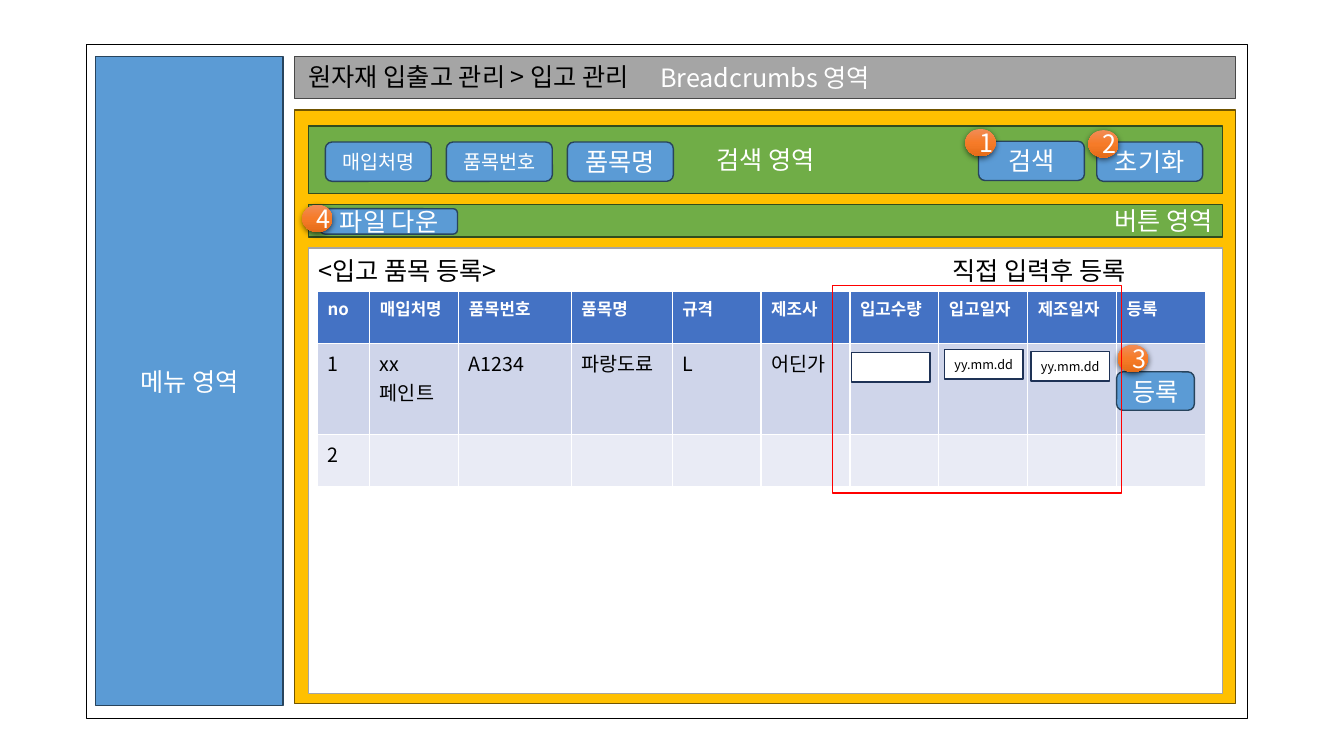
from lxml.etree import SubElement
from pptx import Presentation
from pptx.dml.color import RGBColor
from pptx.enum.shapes import MSO_SHAPE as SHAPE
from pptx.enum.text import MSO_ANCHOR as ANCHOR, MSO_AUTO_SIZE as AUTO_SIZE, PP_ALIGN as ALIGN
from pptx.oxml.ns import qn
from pptx.util import Cm, Pt

FONT = "Noto Sans CJK KR"
WHITE, BLACK = "FFFFFF", "000000"
BLUE, BLUE_EDGE = "5B9BD5", "28445D"
GREEN, GREEN_EDGE = "70AD47", "314C1F"
GREY, INPUT_EDGE = "A5A5A5", "1E3256"

# (left, top, width, height) in cm, fill, line, text, alignment
AREAS = [
    ((2.18, 1.12, 29.26, 16.99), WHITE, BLACK, "", ALIGN.CENTER),
    ((2.41, 1.42, 4.72, 16.36), BLUE, BLUE_EDGE, "메뉴 영역", ALIGN.CENTER),
    ((7.42, 1.42, 23.72, 1.07), GREY, "484848", "Breadcrumbs 영역", ALIGN.CENTER),
    ((7.42, 2.77, 23.72, 14.96), "FFC000", "705400", "", ALIGN.CENTER),
    ((7.77, 3.18, 23.04, 1.7), GREEN, GREEN_EDGE, "검색 영역", ALIGN.CENTER),
    ((7.77, 6.25, 23.04, 11.23), WHITE, GREY, "", ALIGN.CENTER),
    ((7.77, 5.16, 23.04, 0.81), GREEN, GREEN_EDGE, "버튼 영역", ALIGN.RIGHT),
]
BREADCRUMB = ((7.52, 1.42, 10.67, 1.07), "원자재 입출고 관리 > 입고 관리")
SEARCH_FIELDS = [("매입처명", 14), ("품목번호", 14), ("품목명", 18)]
FIELD_LEFT, FIELD_STEP, FIELD_TOP = 8.2, 3.05, 3.58
FIELD_SIZE = (2.67, 0.99)
BUTTONS = [
    ((27.64, 3.58, *FIELD_SIZE), "초기화"),
    ((24.66, 3.56, *FIELD_SIZE), "검색"),
    ((28.14, 9.37, 1.96, 0.97), "등록"),
    ((8.08, 5.26, 3.45, 0.64), "파일 다운"),
]
BADGES = [("1", 24.33, 3.25), ("2", 27.43, 3.28), ("3", 28.17, 8.69), ("4", 7.62, 5.16)]
BADGE_SIZE = (0.76, 0.69)
BADGE_STOPS = [(0, "F18C57"), (50, "F67B28"), (100, "E56C19")]
CAPTIONS = [
    ((7.77, 6.3, 6.32, 1.02), "<입고 품목 등록>"),
    ((23.75, 6.3, 5.59, 1.02), "직접 입력후 등록"),
]
INPUTS = [("", 21.46, 8.89), ("yy.mm.dd", 23.8, 8.81), ("yy.mm.dd", 25.98, 8.86)]
INPUT_SIZE = (1.98, 0.74)
HIGHLIGHT = (20.98, 7.19, 7.29, 5.23)

TABLE_LEFT, TABLE_TOP = 8, 7.34
COLUMN_WIDTHS = [1.32, 2.24, 2.84, 2.54] + [2.24] * 6
ROW_HEIGHTS = [1.32, 2.29, 1.32]
ROWS = [
    ["no", "매입처명", "품목번호", "품목명", "규격", "제조사",
     "입고수량", "입고일자", "제조일자", "등록"],
    ["1", "xx페인트", "A1234", "파랑도료", "L", "어딘가", "", "", "", ""],
    ["2"] + [""] * 9,
]
# fill, text colour, size, bold
ROW_STYLES = [("4472C4", WHITE, 12, True), ("CFD5EA", BLACK, 14, False),
              ("E9EBF5", BLACK, 14, False)]


def rgb(value):
    return RGBColor.from_string(value)


def write(frame, text, color=WHITE, size=18, align=ALIGN.CENTER, bold=False):
    para = frame.paragraphs[0]
    para.alignment = align
    if not text:
        para.font.size = Pt(size)
        return
    span = para.add_run()
    span.text = text
    for name, value in {"name": FONT, "size": Pt(size), "bold": bold}.items():
        setattr(span.font, name, value)
    span.font.color.rgb = rgb(color)
    SubElement(span.font._element, qn("a:ea"), typeface=FONT)


def add_box(page, place, fill, line, text="", kind=SHAPE.RECTANGLE, **style):
    box = page.shapes.add_shape(kind, *map(Cm, place))
    box.shadow.inherit = False
    if fill:
        box.fill.solid()
        box.fill.fore_color.rgb = rgb(fill)
    else:
        box.fill.background()
    if line:
        box.line.color.rgb = rgb(line)
        box.line.width = Pt(1)
    else:
        box.line.fill.background()
    box.text_frame.vertical_anchor = ANCHOR.MIDDLE
    if text:
        write(box.text_frame, text, **style)
    return box


def add_button(page, place, text, size=18):
    add_box(page, place, BLUE, BLUE_EDGE, text, SHAPE.ROUNDED_RECTANGLE, size=size)


def add_badge(page, number, left, top):
    """Numbered orange circle with a vertical gradient and a soft shadow."""
    badge = add_box(page, (left, top, *BADGE_SIZE), None, None, number, SHAPE.OVAL)
    properties = badge._element.spPr
    gradient = SubElement(properties, qn("a:gradFill"), rotWithShape="1")
    stops = SubElement(gradient, qn("a:gsLst"))
    for position, color in BADGE_STOPS:
        stop = SubElement(stops, qn("a:gs"), pos=str(position * 1000))
        SubElement(stop, qn("a:srgbClr"), val=color)
    SubElement(gradient, qn("a:lin"), ang="5400000", scaled="0")
    properties.replace(properties.find(qn("a:noFill")), gradient)
    shadow = SubElement(properties.find(qn("a:effectLst")), qn("a:outerShdw"),
                        blurRad=str(Pt(4.5)), dist=str(Pt(1.5)), dir="5400000",
                        algn="ctr", rotWithShape="0")
    shade = SubElement(shadow, qn("a:srgbClr"), val=BLACK)
    SubElement(shade, qn("a:alpha"), val="63000")


def add_breadcrumb(page):
    """Format the title and bring it in front of the areas."""
    place, text = BREADCRUMB
    title = page.shapes.title
    for name, value in zip(("left", "top", "width", "height"), map(Cm, place)):
        setattr(title, name, value)
    title.text_frame.auto_size = AUTO_SIZE.NONE
    title.text_frame.vertical_anchor = ANCHOR.TOP
    write(title.text_frame, text, BLACK, align=ALIGN.LEFT)
    page.shapes._spTree.append(title._element)


def add_caption(page, place, text):
    caption = page.shapes.add_textbox(*map(Cm, place))
    caption.text_frame.word_wrap = True
    write(caption.text_frame, text, BLACK, align=ALIGN.LEFT)


def add_receipt_table(page):
    table = page.shapes.add_table(
        len(ROWS), len(COLUMN_WIDTHS), Cm(TABLE_LEFT), Cm(TABLE_TOP),
        Cm(sum(COLUMN_WIDTHS)), Cm(sum(ROW_HEIGHTS))).table
    for column, width in zip(table.columns, COLUMN_WIDTHS):
        column.width = Cm(width)
    for row, height, texts, style in zip(table.rows, ROW_HEIGHTS, ROWS, ROW_STYLES):
        row.height = Cm(height)
        fill, color, size, bold = style
        for cell, text in zip(row.cells, texts):
            cell.fill.solid()
            cell.fill.fore_color.rgb = rgb(fill)
            write(cell.text_frame, text, color, size, ALIGN.LEFT, bold)


def main():
    deck = Presentation()
    deck.slide_width, deck.slide_height = Cm(33.87), Cm(19.05)
    page = deck.slides.add_slide(deck.slide_layouts[5])
    for place, fill, line, text, align in AREAS:
        add_box(page, place, fill, line, text, align=align)
    add_breadcrumb(page)
    for index, (text, size) in enumerate(SEARCH_FIELDS):
        left = FIELD_LEFT + index * FIELD_STEP
        add_button(page, (left, FIELD_TOP, *FIELD_SIZE), text, size)
    add_receipt_table(page)
    for place, text in BUTTONS:
        add_button(page, place, text)
    for badge in BADGES:
        add_badge(page, *badge)
    add_box(page, HIGHLIGHT, None, "FF0000")
    for place, text in CAPTIONS:
        add_caption(page, place, text)
    for text, left, top in INPUTS:
        add_box(page, (left, top, *INPUT_SIZE), WHITE, INPUT_EDGE, text,
                color=BLACK, size=9)
    deck.save("out.pptx")


if __name__ == "__main__":
    main()
